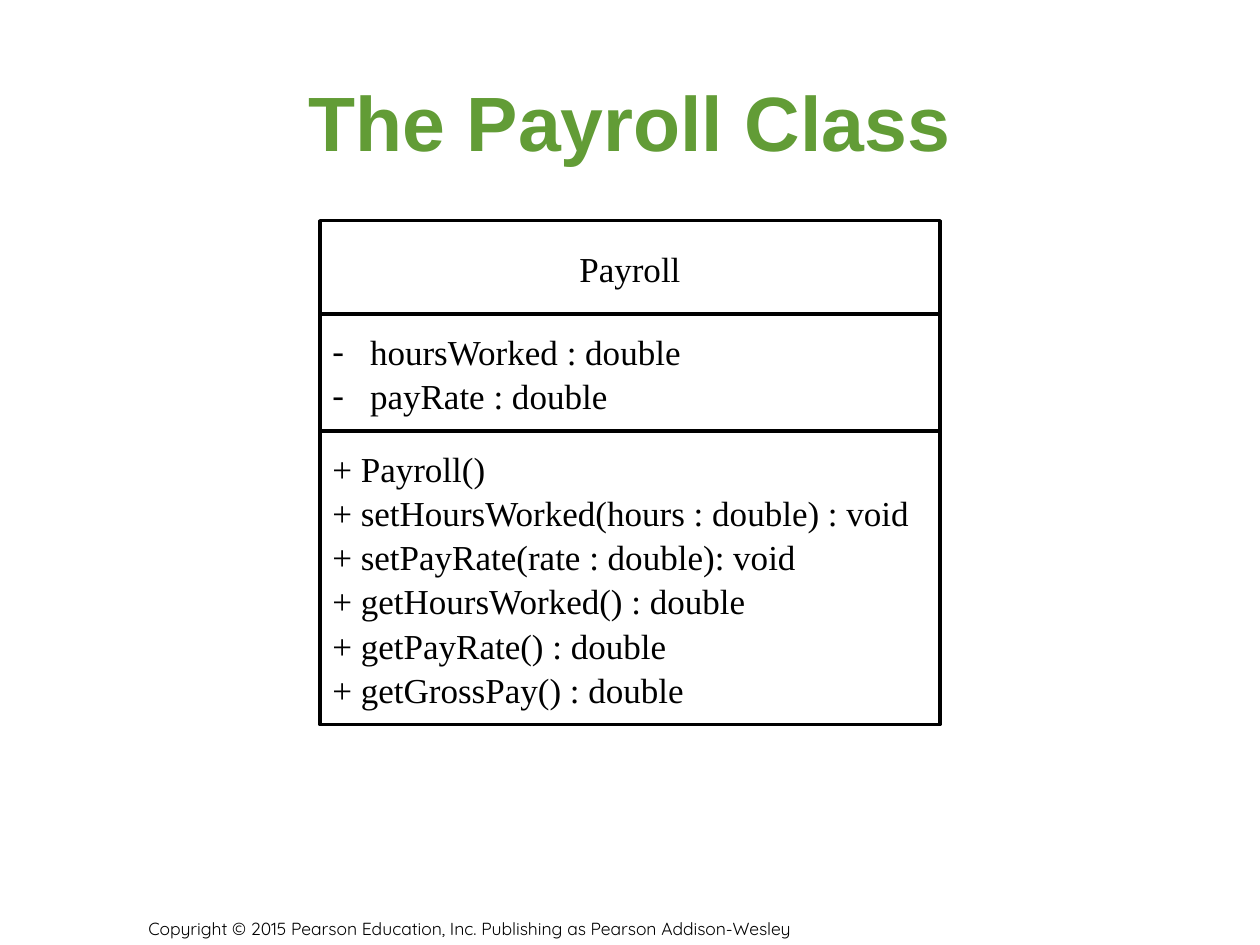
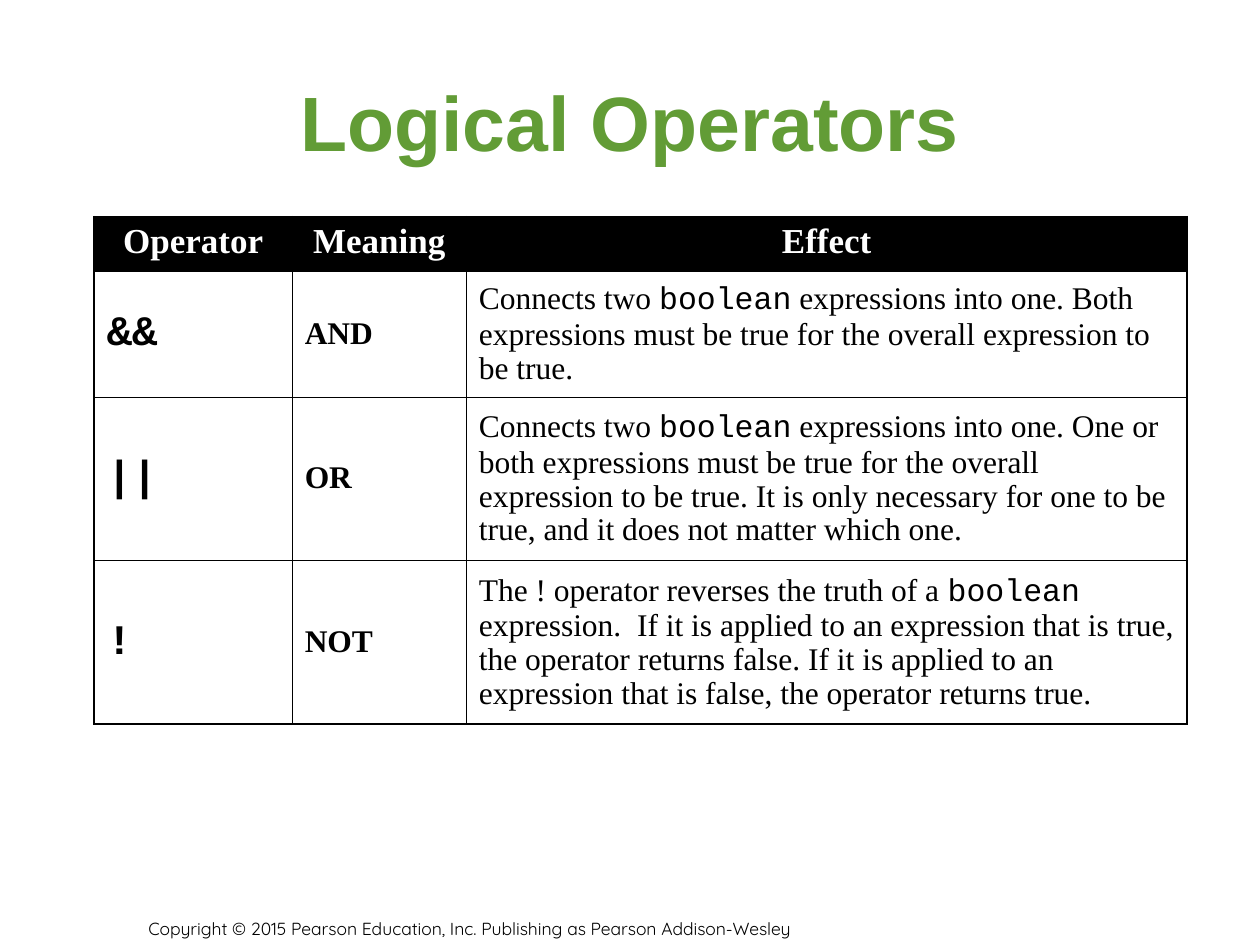
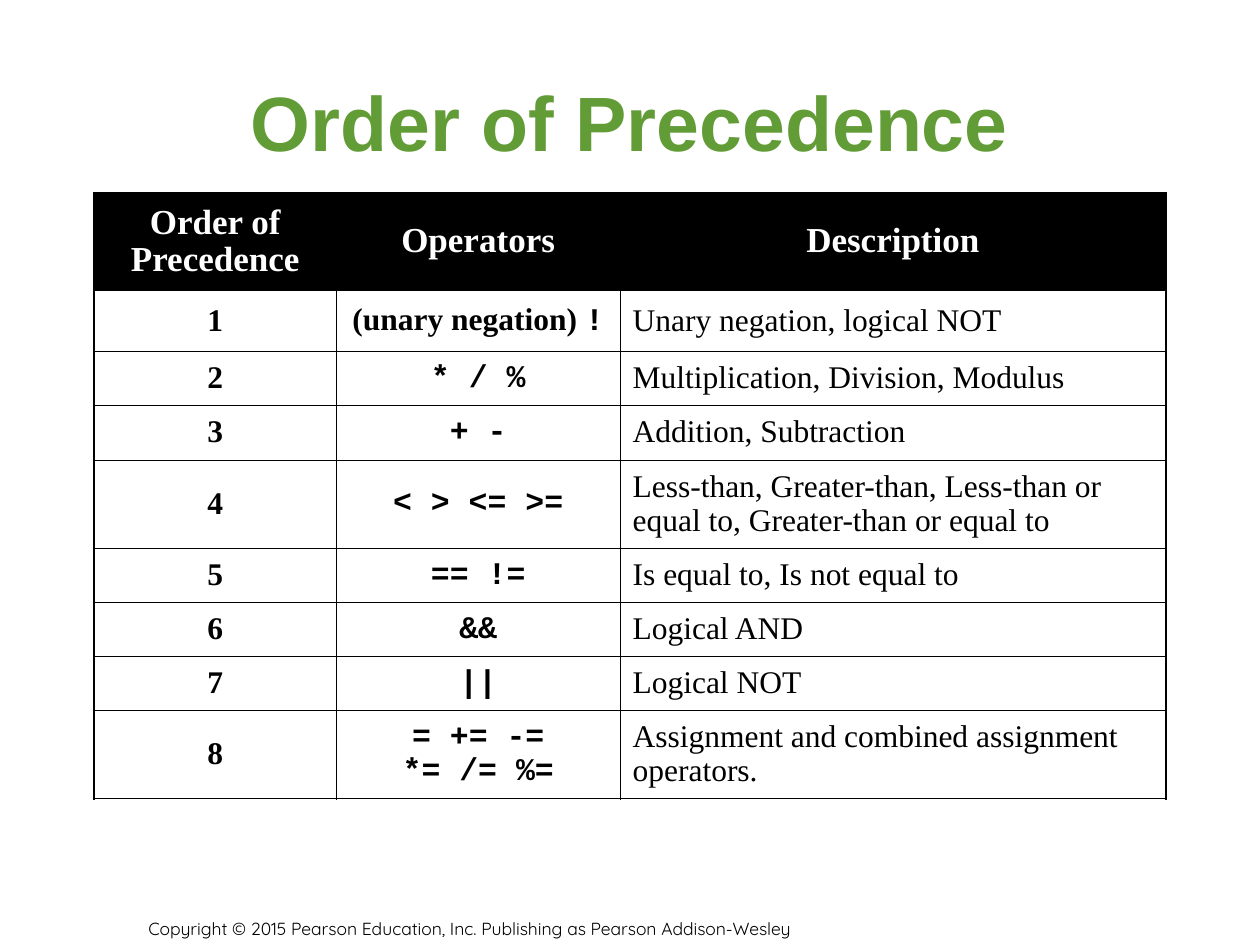
from lxml import etree
from pptx import Presentation
from pptx.dml.color import RGBColor
from pptx.enum.shapes import MSO_SHAPE
from pptx.enum.text import MSO_ANCHOR, PP_ALIGN
from pptx.oxml.ns import qn
from pptx.util import Cm, Pt

LEFT, CENTER = PP_ALIGN.LEFT, PP_ALIGN.CENTER
TOP, MIDDLE, BOTTOM = MSO_ANCHOR.TOP, MSO_ANCHOR.MIDDLE, MSO_ANCHOR.BOTTOM
RECTANGLE = MSO_SHAPE.RECTANGLE

COLORS = {"title": "629C36", "ink": "000000", "paper": "FFFFFF"}
SANS, SERIF, CODE, FOOTER_FONT = "Arial", "Times New Roman", "Courier New", "Quicksand"
COPYRIGHT = "Copyright © 2015 Pearson Education, Inc. Publishing as Pearson Addison-Wesley"
OUTER_LINE, INNER_LINE = 1.08, 0.45

# Text is a list of paragraphs; a paragraph is a string or a list of (text, font) runs.
PAYROLL = {
    "title": "The Payroll Class",
    "left": 6.45, "top": 4.45, "width": 12.5,
    "compartments": [
        (1.88, ["Payroll"], {"align": CENTER}),
        (2.36, ["hoursWorked : double", "payRate : double"], {"bullet": "-"}),
        (5.92, ["+ Payroll()",
                "+ setHoursWorked(hours : double) : void",
                "+ setPayRate(rate : double): void",
                "+ getHoursWorked() : double",
                "+ getPayRate() : double",
                "+ getGrossPay() : double"], {}),
    ],
}

LOGICAL = {
    "title": "Logical Operators",
    "top": 4.37,
    "widths": [3.99, 3.51, 14.53],
    "heights": [1.09, 2.54, 3.3, 3.3],
    "header": ["Operator", "Meaning", "Effect"],
    "header_anchor": TOP,
    "formats": [
        {"size": 24, "font": CODE, "bold": True},
        {"bold": True},
        {},
    ],
    "rows": [
        (["&&"], ["AND"], [[
            ("Connects two ", SERIF), ("boolean", CODE),
            (" expressions into one. Both expressions must be true for the overall "
             "expression to be true.", SERIF)]]),
        (["||"], ["OR"], [[
            ("Connects two ", SERIF), ("boolean", CODE),
            (" expressions into one. One or both expressions must be true for the "
             "overall expression to be true. It is only necessary for one to be true, "
             "and it does not matter which one.", SERIF)]]),
        (["!"], ["NOT"], [[
            ("The ! operator reverses the truth of a ", SERIF), ("boolean", CODE),
            (" expression.  If it is applied to an expression that is true, the "
             "operator returns false. If it is applied to an expression that is false, "
             "the operator returns true.", SERIF)]]),
    ],
}

PRECEDENCE = {
    "title": "Order of Precedence",
    "top": 3.89,
    "widths": [4.88, 5.72, 11],
    "heights": [1.96, 1.24, 1.09, 1.09, 1.78, 1.09, 1.09, 1.09, 1.78],
    "header": ["Order of Precedence", "Operators", "Description"],
    "header_anchor": MIDDLE,
    "formats": [
        {"bold": True, "align": CENTER},
        {"font": CODE, "bold": True, "align": CENTER},
        {},
    ],
    "rows": [([str(rank)], operators, [description])
             for rank, (operators, description) in enumerate([
                 ([[("(unary negation) ", SERIF), ("!", CODE)]],
                  "Unary negation, logical NOT"),
                 (["* / %"], "Multiplication, Division, Modulus"),
                 (["+ -"], "Addition, Subtraction"),
                 (["< > <= >="],
                  "Less-than, Greater-than, Less-than or equal to, Greater-than or equal to"),
                 (["== !="], "Is equal to, Is not equal to"),
                 (["&&"], "Logical AND"),
                 (["||"], "Logical NOT"),
                 (["= += -=", "*= /= %="], "Assignment and combined assignment operators."),
             ], start=1)],
}


def rgb(name):
    return RGBColor.from_string(COLORS[name])


def set_bullet(paragraph, char):
    properties = paragraph._p.get_or_add_pPr()
    indent = Cm(0.76)
    properties.set("marL", str(indent))
    properties.set("indent", str(-indent))
    color = etree.SubElement(properties, qn("a:buClr"))
    etree.SubElement(color, qn("a:srgbClr"), val=COLORS["ink"])
    etree.SubElement(properties, qn("a:buFont"), typeface=SERIF)
    etree.SubElement(properties, qn("a:buChar"), char=char)


def write(frame, paragraphs, size=18, font=SERIF, color="ink", bold=False,
          align=LEFT, spacing=None, bullet=None):
    frame.word_wrap = True
    for index, content in enumerate(paragraphs):
        paragraph = frame.add_paragraph() if index else frame.paragraphs[0]
        paragraph.alignment = align
        if spacing:
            paragraph.line_spacing = spacing
        if bullet:
            set_bullet(paragraph, bullet)
        runs = [(content, font)] if isinstance(content, str) else content
        for text, run_font in runs:
            run = paragraph.add_run()
            run.text = text
            run.font.name = run_font
            run.font.size = Pt(size)
            run.font.bold = bold
            run.font.color.rgb = rgb(color)


def add_text(slide, text, left, top, width, height, anchor, **text_format):
    frame = slide.shapes.add_textbox(Cm(left), Cm(top), Cm(width), Cm(height)).text_frame
    frame.vertical_anchor = anchor
    write(frame, [text], **text_format)


def add_slide(prs, title):
    """Add a blank slide with the shared copyright line and title."""
    slide = prs.slides.add_slide(prs.slide_layouts[6])
    add_text(slide, COPYRIGHT, 2.74, 18.21, 18.19, 0.84, BOTTOM, size=10, font=FOOTER_FONT)
    add_text(slide, title, 1.27, 0.84, 22.86, 3.18, MIDDLE,
             size=44, font=SANS, color="title", bold=True, align=CENTER)
    return slide


def add_class_diagram(slide, diagram):
    group = slide.shapes.add_group_shape()
    top = diagram["top"]
    for height, lines, text_format in diagram["compartments"]:
        box = group.shapes.add_shape(RECTANGLE, Cm(diagram["left"]), Cm(top),
                                     Cm(diagram["width"]), Cm(height))
        box.shadow.inherit = False
        box.fill.solid()
        box.fill.fore_color.rgb = rgb("paper")
        box.line.color.rgb = rgb("ink")
        box.line.width = Pt(2)
        box.text_frame.vertical_anchor = MIDDLE
        write(box.text_frame, lines, size=20, spacing=1.05, **text_format)
        top += height


def set_borders(cell, outer_sides):
    properties = cell._tc.get_or_add_tcPr()
    for side in "LRTB":
        width = OUTER_LINE if side in outer_sides else INNER_LINE
        line = etree.SubElement(properties, qn(f"a:ln{side}"), w=str(Pt(width)))
        fill = etree.SubElement(line, qn("a:solidFill"))
        etree.SubElement(fill, qn("a:srgbClr"), val=COLORS["ink"])


def add_grid(slide, grid):
    """Add a table with a black header row and a heavier outer border."""
    widths, heights = grid["widths"], grid["heights"]
    table = slide.shapes.add_table(len(heights), len(widths), Cm(1.9), Cm(grid["top"]),
                                   Cm(sum(widths)), Cm(sum(heights))).table
    table.horz_banding = False
    for column, width in zip(table.columns, widths):
        column.width = Cm(width)
    for row, height in zip(table.rows, heights):
        row.height = Cm(height)

    last_row, last_column = len(heights) - 1, len(widths) - 1
    header = [[label] for label in grid["header"]]
    for r, contents in enumerate([header, *grid["rows"]]):
        for c, content in enumerate(contents):
            cell = table.cell(r, c)
            edges = {"L": c == 0, "R": c == last_column, "T": r == 0, "B": r == last_row}
            set_borders(cell, [side for side, is_outer in edges.items() if is_outer])
            if r == 0:
                cell.fill.solid()
                cell.fill.fore_color.rgb = rgb("ink")
                cell.vertical_anchor = grid["header_anchor"]
                text_format = {"size": 20, "color": "paper", "bold": True, "align": CENTER}
            else:
                cell.fill.background()
                cell.vertical_anchor = MIDDLE
                text_format = grid["formats"][c]
            write(cell.text_frame, content, spacing=0.97, **text_format)


def main():
    prs = Presentation()
    prs.slide_width, prs.slide_height = Cm(25.4), Cm(19.05)
    add_class_diagram(add_slide(prs, PAYROLL["title"]), PAYROLL)
    for grid in (LOGICAL, PRECEDENCE):
        add_grid(add_slide(prs, grid["title"]), grid)
    prs.save("out.pptx")


if __name__ == "__main__":
    main()
